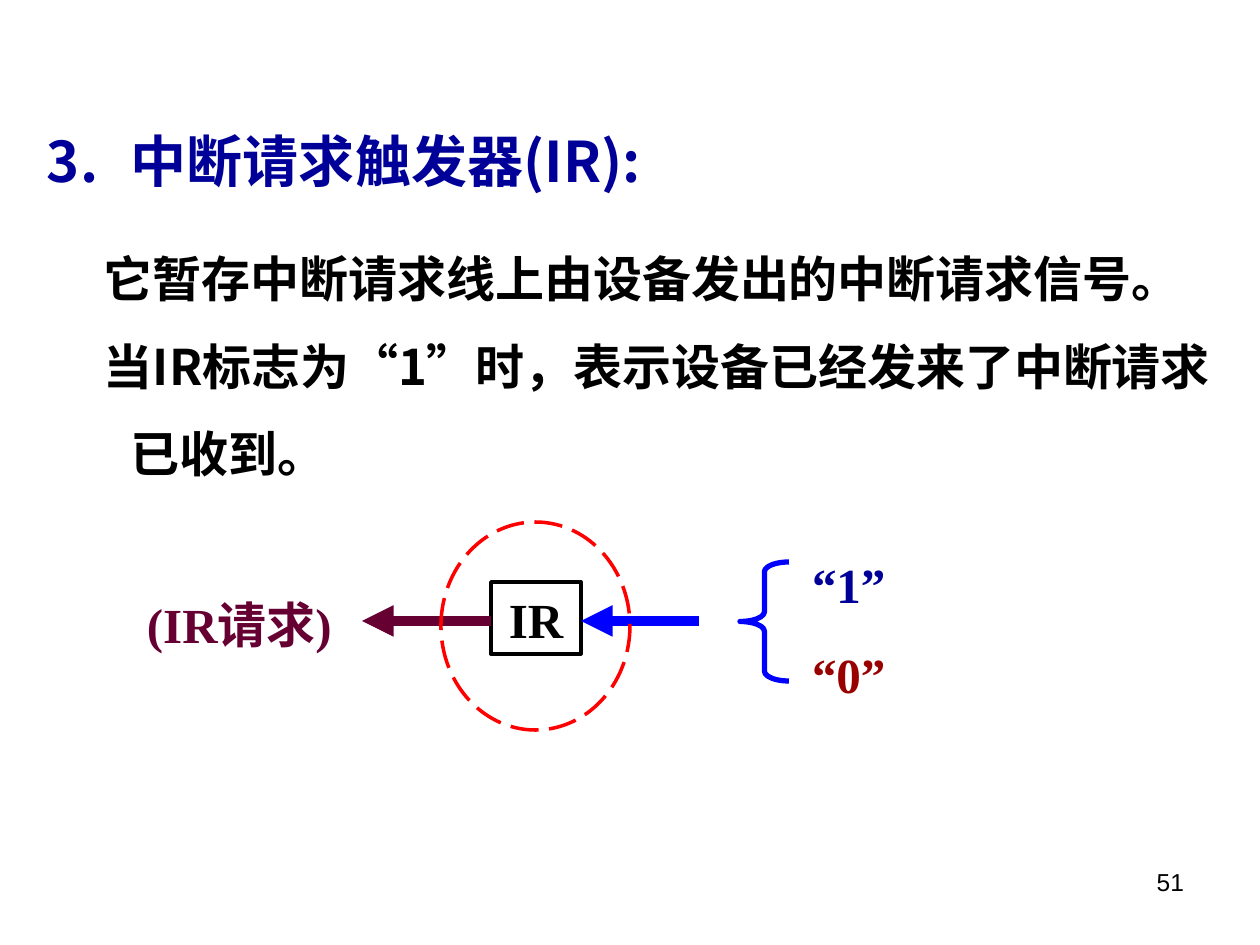
from dataclasses import dataclass

from lxml import etree
from pptx import Presentation
from pptx.dml.color import RGBColor
from pptx.enum.dml import MSO_LINE
from pptx.enum.shapes import MSO_CONNECTOR, MSO_SHAPE
from pptx.enum.text import MSO_ANCHOR, MSO_AUTO_SIZE, PP_ALIGN
from pptx.oxml.ns import qn
from pptx.util import Emu, Pt

LEFT, CENTER, RIGHT = PP_ALIGN.LEFT, PP_ALIGN.CENTER, PP_ALIGN.RIGHT
TOP, BOTTOM = MSO_ANCHOR.TOP, MSO_ANCHOR.BOTTOM
NO_AUTOFIT = MSO_AUTO_SIZE.NONE
STRAIGHT = MSO_CONNECTOR.STRAIGHT
RECTANGLE, OVAL, LEFT_BRACE = MSO_SHAPE.RECTANGLE, MSO_SHAPE.OVAL, MSO_SHAPE.LEFT_BRACE
LONG_DASH = MSO_LINE.LONG_DASH

PX_PER_INCH = 126
SANS, SERIF, PLAIN = "Noto Sans CJK SC", "Times New Roman", "Arial"
NAVY, BLUE, RED = "000099", "0000FF", "FF0000"
PLUM, BRICK, BLACK = "660033", "990000", "000000"


@dataclass(frozen=True)
class Box:
    left: int
    top: int
    width: int
    height: int


@dataclass(frozen=True)
class Style:
    font: str
    size: int
    color: str
    bold: bool = True


@dataclass(frozen=True)
class Label:
    box: Box
    lines: tuple[tuple[str, Style], ...]
    align: PP_ALIGN = LEFT
    inset_top: int = 6
    gap: float = 0


@dataclass(frozen=True)
class Arrow:
    tip: int
    end: int
    color: str


def px(length: int) -> Emu:
    return Emu(round(length * 914400 / PX_PER_INCH))


def rgb(value: str) -> RGBColor:
    return RGBColor.from_string(value)


def place(box: Box) -> tuple[Emu, ...]:
    return px(box.left), px(box.top), px(box.width), px(box.height)


def set_up_frame(frame, anchor=TOP, inset_top: int = 6) -> None:
    frame.word_wrap = True
    frame.auto_size = NO_AUTOFIT
    frame.vertical_anchor = anchor
    frame.margin_left = frame.margin_right = px(13)
    frame.margin_top, frame.margin_bottom = px(inset_top), px(6)


def add_run(paragraph, text: str, style: Style) -> None:
    run = paragraph.add_run()
    run.text = text
    run.font.name = style.font
    run.font.size = Pt(style.size)
    run.font.bold = style.bold
    run.font.color.rgb = rgb(style.color)
    if style.font == SANS:
        etree.SubElement(run.font._element, qn("a:ea"), typeface=SANS)


def set_indent(paragraph, margin: int, indent: int) -> None:
    properties = paragraph._p.get_or_add_pPr()
    properties.set("marL", str(px(margin)))
    properties.set("indent", str(px(indent)))


def add_heading(slide, box: Box, text: str, number: int, style: Style) -> None:
    title = slide.shapes.title
    title.left, title.top, title.width, title.height = place(box)
    set_up_frame(title.text_frame)
    paragraph = title.text_frame.paragraphs[0]
    set_indent(paragraph, 84, -84)
    properties = paragraph._p.get_or_add_pPr()
    bullet_color = etree.SubElement(properties, qn("a:buClr"))
    etree.SubElement(bullet_color, qn("a:srgbClr"), val=style.color)
    etree.SubElement(properties, qn("a:buFont"), typeface=style.font)
    etree.SubElement(properties, qn("a:buAutoNum"), type="arabicPeriod", startAt=str(number))
    paragraph.alignment = LEFT
    add_run(paragraph, text, style)


def add_body(slide, box: Box, sentences: tuple[str, ...], style: Style) -> None:
    frame = slide.shapes.add_textbox(*place(box)).text_frame
    set_up_frame(frame)
    for index, sentence in enumerate(sentences):
        paragraph = frame.add_paragraph() if index else frame.paragraphs[0]
        set_indent(paragraph, 84, -27)
        paragraph.line_spacing = Pt(50)
        add_run(paragraph, sentence, style)


def add_label(slide, label: Label) -> None:
    frame = slide.shapes.add_textbox(*place(label.box)).text_frame
    set_up_frame(frame, inset_top=label.inset_top)
    for index, (text, style) in enumerate(label.lines):
        paragraph = frame.add_paragraph() if index else frame.paragraphs[0]
        paragraph.alignment = label.align
        if index:
            paragraph.space_before = Pt(label.gap)
        add_run(paragraph, text, style)


def add_outline(slide, preset: MSO_SHAPE, box: Box, color: str, weight: int):
    shape = slide.shapes.add_shape(preset, *place(box))
    shape.shadow.inherit = False
    shape.fill.background()
    shape.line.color.rgb = rgb(color)
    shape.line.width = Pt(weight)
    return shape


def add_arrow(slide, arrow: Arrow, level: int) -> None:
    connector = slide.shapes.add_connector(
        STRAIGHT, px(arrow.tip), px(level), px(arrow.end), px(level))
    connector.line.color.rgb = rgb(arrow.color)
    connector.line.width = Pt(6)
    etree.SubElement(connector.line._get_or_add_ln(), qn("a:headEnd"), type="triangle")
    etree.SubElement(connector._element.spPr, qn("a:effectLst"))


def main() -> None:
    presentation = Presentation()
    presentation.slide_width, presentation.slide_height = px(1260), px(945)
    slide = presentation.slides.add_slide(presentation.slide_layouts[5])

    add_heading(slide, Box(34, 120, 1226, 94), "中断请求触发器(IR):", 3, Style(SANS, 32, NAVY))
    add_body(
        slide, Box(34, 214, 1226, 276),
        ("它暂存中断请求线上由设备发出的中断请求信号。",
         "当IR标志为“1”时，表示设备已经发来了中断请求已收到。"),
        Style(SANS, 28, BLACK))

    trigger = add_outline(slide, RECTANGLE, Box(491, 582, 90, 72), BLACK, 2)
    set_up_frame(trigger.text_frame, BOTTOM)
    trigger_text = trigger.text_frame.paragraphs[0]
    trigger_text.alignment = CENTER
    add_run(trigger_text, "IR", Style(SERIF, 28, BLACK))

    for arrow in (Arrow(362, 491, PLUM), Arrow(581, 699, BLUE)):
        add_arrow(slide, arrow, 621)

    highlight = add_outline(slide, OVAL, Box(441, 522, 189, 208), RED, 2)
    highlight.line.dash_style = LONG_DASH
    brace = add_outline(slide, LEFT_BRACE, Box(740, 562, 49, 119), BLUE, 3)
    brace.adjustments[0] = 0.2

    labels = (
        Label(Box(799, 542, 159, 161),
              (("“1”", Style(SERIF, 28, NAVY)), ("“0”", Style(SERIF, 28, BRICK))),
              inset_top=13, gap=17.5),
        Label(Box(134, 582, 228, 131), (("(IR请求)", Style(SERIF, 28, PLUM)),), inset_top=13),
        Label(Box(903, 861, 294, 66), (("51", Style(PLAIN, 14, BLACK, False)),), RIGHT),
    )
    for label in labels:
        add_label(slide, label)

    presentation.save("out.pptx")


if __name__ == "__main__":
    main()
